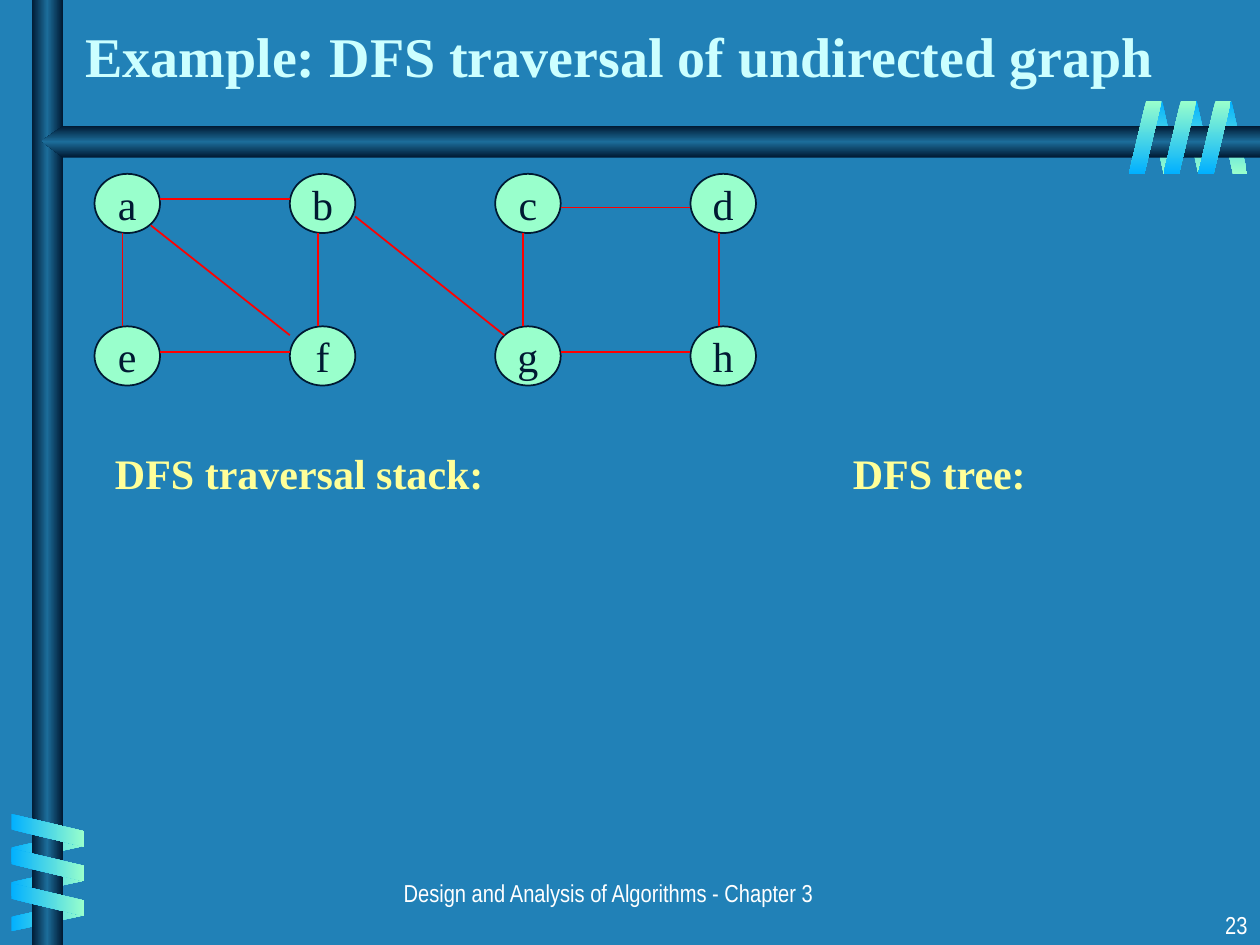
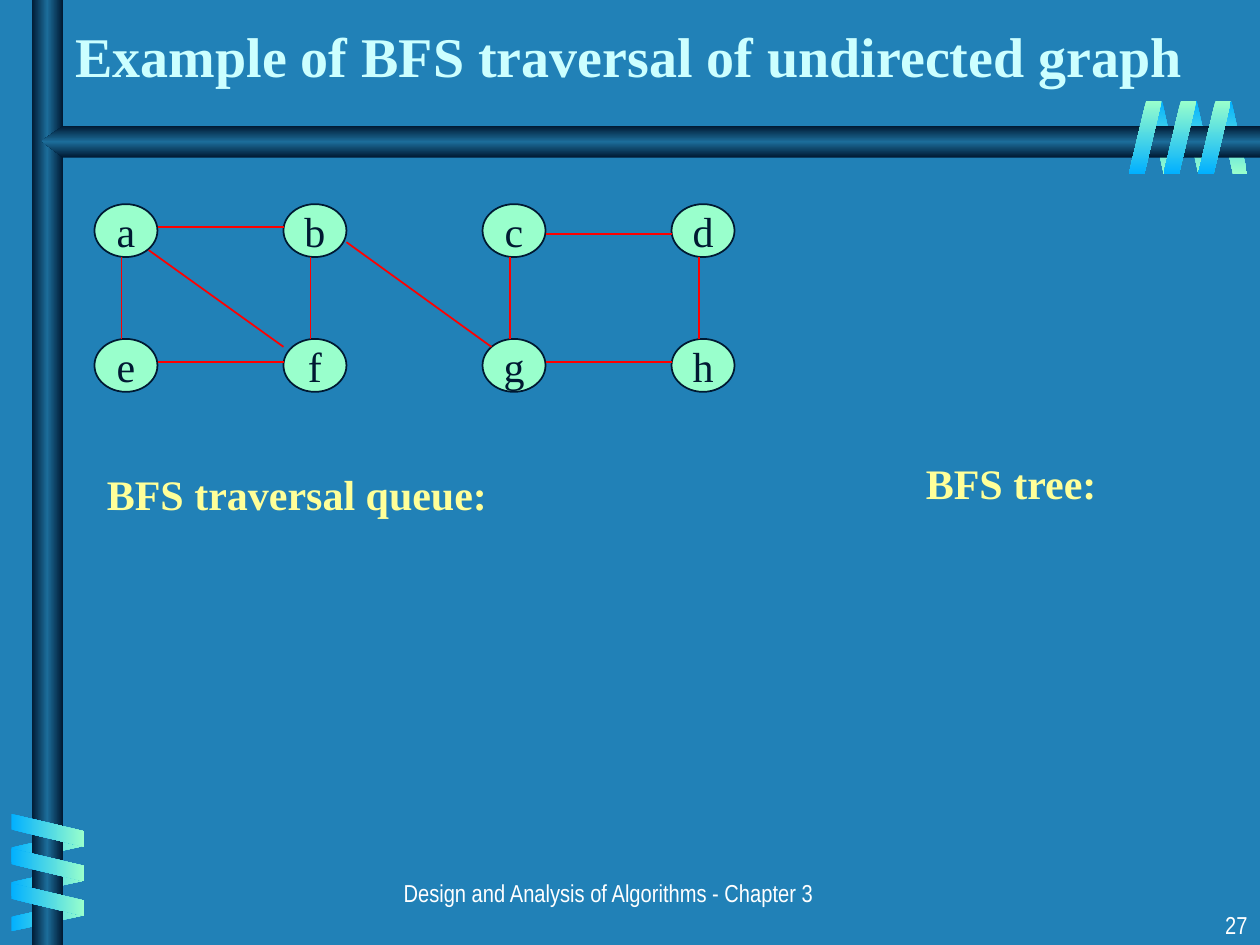
from dataclasses import dataclass
from typing import NamedTuple

import pptx
import pptx.dml.color
import pptx.enum.shapes
import pptx.enum.text
import pptx.oxml
import pptx.oxml.ns
import pptx.util

Inches = pptx.util.Inches
Shape = pptx.enum.shapes.MSO_SHAPE
Align = pptx.enum.text.PP_ALIGN
Anchor = pptx.enum.text.MSO_ANCHOR

# Shared look
BACKGROUND = "2181B7"
NAVY = "001932"
STEEL = "1C6D9A"
AZURE = "01B0FF"
MINT = "99FFCC"
TITLE_COLOR = "CCFFFF"
LABEL_COLOR = "FFFF99"
EDGE_COLOR = "FF0000"
WHITE = "FFFFFF"
SERIF = "Times New Roman"
NARROW = "Arial Narrow"
BAR_STOPS = (NAVY, STEEL, NAVY)
FOOTER = "Design and Analysis of Algorithms - Chapter 3"


class Box(NamedTuple):
    left: float
    top: float
    width: float
    height: float

    def lengths(self) -> tuple:
        return tuple(Inches(v) for v in self)

    def point(self, fx: float, fy: float) -> tuple:
        """Position at the given fractions of the box."""
        return Inches(self.left + fx * self.width), Inches(self.top + fy * self.height)


class Style(NamedTuple):
    size: int
    font: str
    color: str
    bold: bool = False


TITLE = Style(32, SERIF, TITLE_COLOR, True)
LABEL = Style(24, SERIF, LABEL_COLOR, True)
NODE = Style(24, SERIF, NAVY)
SMALL = Style(14, NARROW, WHITE)


class Ribbon(NamedTuple):
    """Three slanted strips, equally spaced along one axis."""
    first: Box
    dx: float
    dy: float
    stops: tuple
    rotation: int = 0
    flipped: bool = False


STEP = 0.55 / 2
BACK_RIBBONS = (
    Ribbon(Box(9.11, 0.8, 0.24, 0.58), STEP, 0, (AZURE, MINT), flipped=True),
    Ribbon(Box(0.26, 6.43, 0.24, 0.58), 0, STEP, (AZURE, MINT), 270, True),
)
FRONT_RIBBONS = (
    Ribbon(Box(0.25, 6.3, 0.26, 0.58), 0, STEP, (AZURE, MINT), 270),
    Ribbon(Box(8.96, 0.8, 0.26, 0.58), STEP, 0, (MINT, AZURE)),
)


class Edge(NamedTuple):
    """Link between two nodes; ends are fractions of each node's box."""
    start: str
    end: str
    start_at: tuple
    end_at: tuple


def across(start: str, end: str, fy: float = 0.43) -> Edge:
    return Edge(start, end, (1, fy), (0, fy))


def down(start: str, end: str) -> Edge:
    return Edge(start, end, (0.43, 1), (0.43, 0))


NODE_ROWS = ("abcd", "efgh")
EDGES = (
    across("a", "b"), across("c", "d", 0.57), across("e", "f"), across("g", "h"),
    down("a", "e"), down("b", "f"), down("c", "g"), down("d", "h"),
    Edge("a", "f", (0.86, 0.87), (0, 0.15)),
    Edge("b", "g", (1, 0.72), (0.14, 0.15)),
)


@dataclass
class Graph:
    columns: tuple
    rows: tuple
    width: float
    height: float


@dataclass
class Label:
    text: str
    box: Box
    align: int = Align.LEFT


@dataclass
class Page:
    title: str
    title_box: Box
    graph: Graph
    labels: tuple
    number: str


PAGES = (
    Page(
        "Example: DFS traversal of undirected graph", Box(0.58, 0.25, 9.42, 0.5),
        Graph((0.75, 2.3, 3.93, 5.48), (1.38, 2.59), 0.52, 0.47),
        (Label("DFS traversal stack:", Box(0.75, 3.5, 3.25, 0.5), Align.CENTER),
         Label("DFS tree:", Box(5.83, 3.5, 3.25, 0.5), Align.CENTER)),
        "23",
    ),
    Page(
        "Example of BFS traversal of undirected graph", Box(0.5, 0, 9.08, 0.75),
        Graph((0.75, 2.25, 3.83, 5.33), (1.62, 2.69), 0.5, 0.42),
        (Label("BFS traversal queue:", Box(0.75, 3.67, 3.33, 0.58)),
         Label("BFS tree:", Box(7.25, 3.58, 1.67, 0.58))),
        "27",
    ),
)


def rgb(color: str) -> pptx.dml.color.RGBColor:
    return pptx.dml.color.RGBColor.from_string(color)


def fill_gradient(sp, stops: tuple, angle: int) -> None:
    """Give a shape evenly spaced gradient stops and no outline or shadow."""
    last = len(stops) - 1
    marks = "".join(
        f'<a:gs pos="{100000 * i // last}"><a:srgbClr val="{color}"/></a:gs>'
        for i, color in enumerate(stops)
    )
    grad = pptx.oxml.parse_xml(
        f'<a:gradFill {pptx.oxml.ns.nsdecls("a")} rotWithShape="1">'
        f'<a:gsLst>{marks}</a:gsLst><a:lin ang="{angle * 60000}" scaled="0"/></a:gradFill>'
    )
    sp._element.spPr.insert(2, grad)  # after position and geometry
    sp.line.fill.background()
    sp.shadow.inherit = False


def write(sp, text: str, style: Style, align: int, anchor: int, wrap: bool = True) -> None:
    tf = sp.text_frame
    tf.word_wrap = wrap
    tf.vertical_anchor = anchor
    p = tf.paragraphs[0]
    p.alignment = align
    r = p.add_run()
    r.text = text
    r.font.size = pptx.util.Pt(style.size)
    r.font.name = style.font
    r.font.bold = style.bold
    r.font.color.rgb = rgb(style.color)


def add_text(slide, box: Box, text: str, style: Style,
             align: int = Align.LEFT, anchor: int = Anchor.TOP) -> None:
    write(slide.shapes.add_textbox(*box.lengths()), text, style, align, anchor)


def add_ribbon(slide, ribbon: Ribbon) -> None:
    left, top, width, height = ribbon.first
    for i in range(3):
        box = Box(left + i * ribbon.dx, top + i * ribbon.dy, width, height)
        sp = slide.shapes.add_shape(Shape.PARALLELOGRAM, *box.lengths())
        sp.adjustments[0] = 0.53
        sp.rotation = ribbon.rotation
        if ribbon.flipped:
            sp._element.spPr.find(pptx.oxml.ns.qn("a:xfrm")).set("flipH", "1")
        fill_gradient(sp, ribbon.stops, 90)


def add_bars(slide) -> None:
    post = slide.shapes.add_shape(Shape.RECTANGLE, *Box(0.25, 0, 0.25, 7.5).lengths())
    fill_gradient(post, BAR_STOPS, 0)
    outline = ((10, 1), (0.5, 1), (0.33, 1.12), (0.5, 1.25), (10, 1.25))
    points = [(Inches(x), Inches(y)) for x, y in outline]
    fb = slide.shapes.build_freeform(*points[0])
    fb.add_line_segments(points[1:], close=True)
    fill_gradient(fb.convert_to_shape(), BAR_STOPS, 90)


def add_frame(slide, number: str) -> None:
    """Background, crossing bars with ribbons, and footer."""
    slide.background.fill.solid()
    slide.background.fill.fore_color.rgb = rgb(BACKGROUND)
    for ribbon in BACK_RIBBONS:
        add_ribbon(slide, ribbon)
    add_bars(slide)
    for ribbon in FRONT_RIBBONS:
        add_ribbon(slide, ribbon)
    add_text(slide, Box(1.33, 6.92, 7, 0.33), FOOTER, SMALL, Align.CENTER)
    add_text(slide, Box(7.92, 7.17, 2.08, 0.33), number, SMALL, Align.RIGHT)


def add_node(slide, name: str, box: Box) -> None:
    sp = slide.shapes.add_shape(Shape.OVAL, *box.lengths())
    sp.shadow.inherit = False
    sp.fill.solid()
    sp.fill.fore_color.rgb = rgb(MINT)
    sp.line.color.rgb = rgb(NAVY)
    sp.line.width = pptx.util.Pt(1)
    write(sp, name, NODE, Align.CENTER, Anchor.MIDDLE, wrap=False)


def add_edge(slide, start: tuple, end: tuple) -> None:
    line = slide.shapes.add_connector(
        pptx.enum.shapes.MSO_CONNECTOR.STRAIGHT, *start, *end)
    line.line.color.rgb = rgb(EDGE_COLOR)
    line.line.width = pptx.util.Pt(1)
    line._element.spPr.append(
        pptx.oxml.parse_xml(f'<a:effectLst {pptx.oxml.ns.nsdecls("a")}/>'))


def add_graph(slide, graph: Graph) -> None:
    boxes = {
        name: Box(left, top, graph.width, graph.height)
        for names, top in zip(NODE_ROWS, graph.rows)
        for name, left in zip(names, graph.columns)
    }
    for name, box in boxes.items():
        add_node(slide, name, box)
    for edge in EDGES:
        add_edge(slide, boxes[edge.start].point(*edge.start_at),
                 boxes[edge.end].point(*edge.end_at))


def main() -> None:
    prs = pptx.Presentation()
    prs.slide_width, prs.slide_height = Inches(10), Inches(7.5)
    for page in PAGES:
        slide = prs.slides.add_slide(prs.slide_layouts[6])
        add_frame(slide, page.number)
        add_text(slide, page.title_box, page.title, TITLE, anchor=Anchor.BOTTOM)
        add_graph(slide, page.graph)
        for label in page.labels:
            add_text(slide, label.box, label.text, LABEL, label.align)
    prs.save("out.pptx")


if __name__ == "__main__":
    main()
